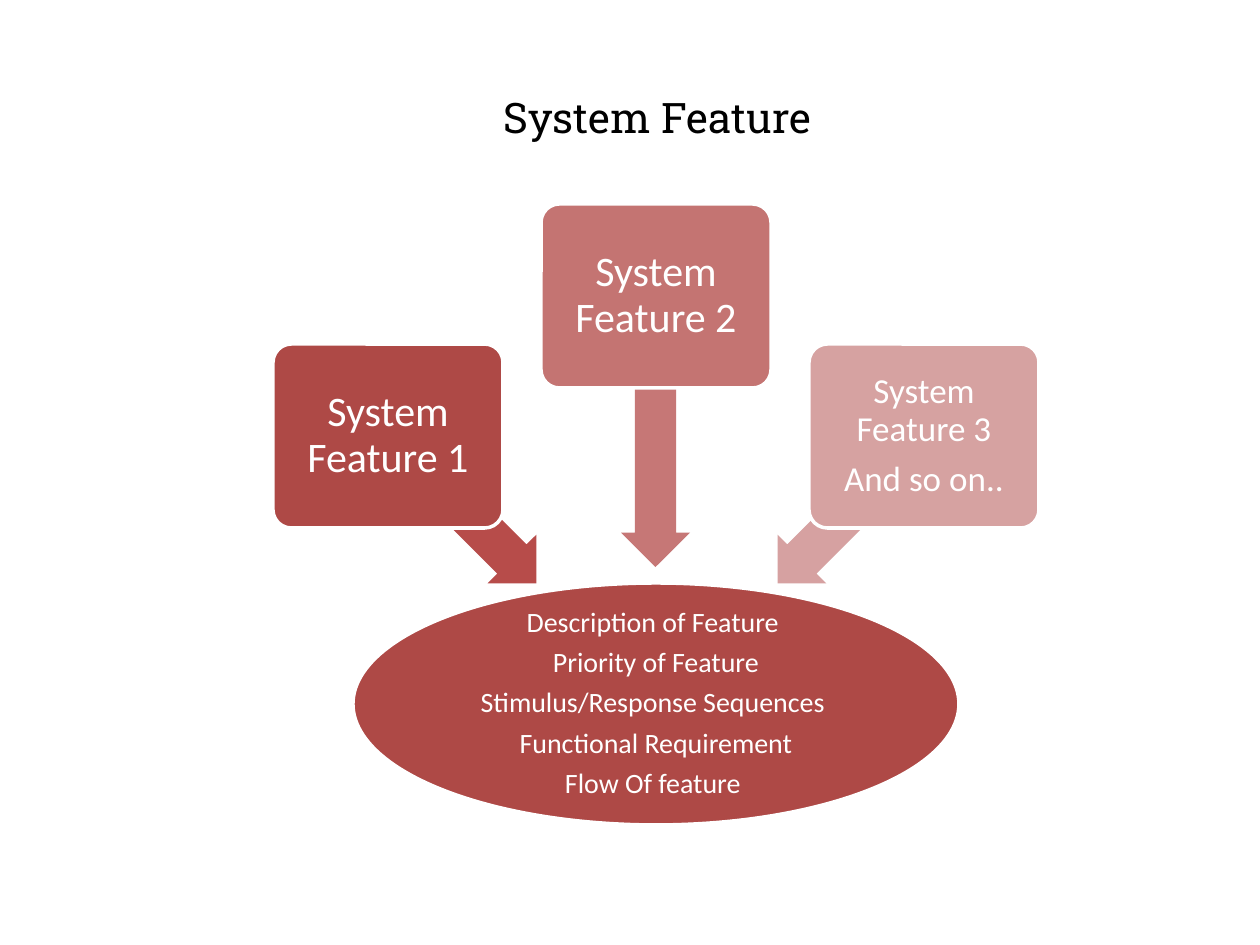
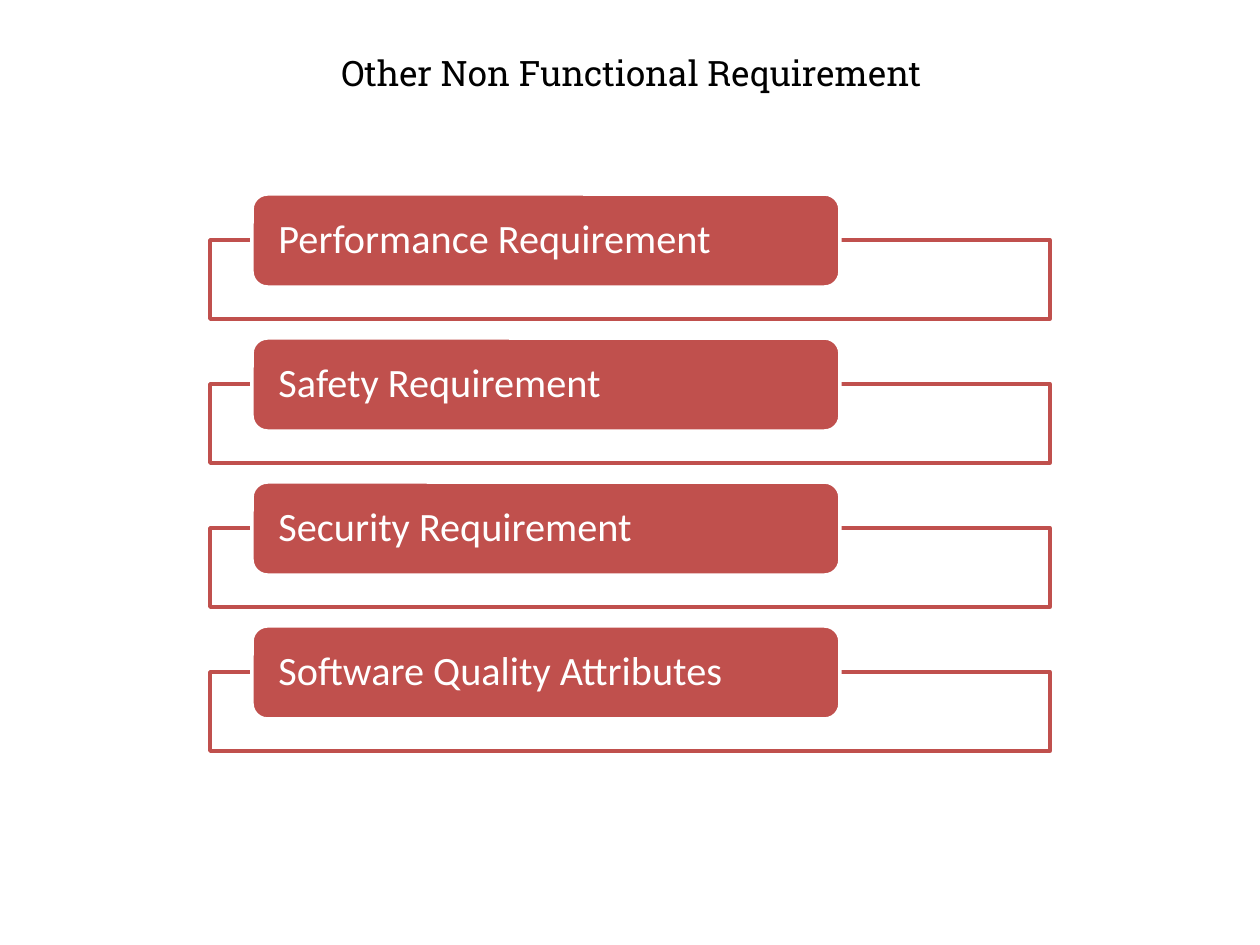
from dataclasses import dataclass

from lxml import etree
from pptx import Presentation
from pptx.dml.color import RGBColor as Rgb
from pptx.enum.shapes import MSO_SHAPE as Preset
from pptx.enum.text import MSO_ANCHOR as Anchor, PP_ALIGN as Align
from pptx.oxml.ns import qn
from pptx.util import Pt

EMU_PER_PX = 914400 / 126


@dataclass(frozen=True)
class Theme:
    white: str = "FFFFFF"
    black: str = "000000"
    red: str = "C0504D"
    deep_red: str = "AE4946"
    mid_red: str = "C47472"
    pale_red: str = "D6A2A1"
    deep_arrow: str = "B74C4A"
    mid_arrow: str = "C67776"
    pale_arrow: str = "D6A1A1"
    title_font: str = "Roboto Slab"
    body_font: str = "Calibri"
    title_size: int = 24
    long_title_size: int = 20
    feature_size: int = 24
    two_part_size: int = 20
    detail_size: int = 16
    requirement_size: int = 23
    outline: int = 2


theme = Theme()


def px(*lengths):
    """Turn pixel lengths into a list of EMU lengths."""
    return [round(length * EMU_PER_PX) for length in lengths]


def add_block(slide, preset, box, fill, outline=None, lines=(), size=0,
              font=theme.body_font, color=theme.white, align=Align.CENTER,
              anchor=Anchor.MIDDLE, insets=(0, 0, 0, 0), tight=True):
    """Add a preset shape, or a text box when preset is None, with its text."""
    if preset is None:
        block = slide.shapes.add_textbox(*px(*box))
    else:
        block = slide.shapes.add_shape(preset, *px(*box))
        block.shadow.inherit = False
        block.fill.solid()
        block.fill.fore_color.rgb = Rgb.from_string(fill)
        if outline:
            block.line.color.rgb = Rgb.from_string(outline)
            block.line.width = Pt(theme.outline)
        else:
            block.line.fill.background()
    frame = block.text_frame
    left, top, right, bottom = px(*insets)
    frame_format = {"word_wrap": True, "vertical_anchor": anchor,
                    "margin_left": left, "margin_top": top,
                    "margin_right": right, "margin_bottom": bottom}
    for name, value in frame_format.items():
        setattr(frame, name, value)
    spacing = {"line_spacing": 0.9, "space_after": Pt(0.35 * size)} if tight else {}
    for index, line in enumerate(lines):
        paragraph = frame.add_paragraph() if index else frame.paragraphs[0]
        for name, value in {"alignment": align, **spacing}.items():
            setattr(paragraph, name, value)
        run = paragraph.add_run()
        run.text = line
        for name, value in {"name": font, "size": Pt(size)}.items():
            setattr(run.font, name, value)
        run.font.color.rgb = Rgb.from_string(color)
    return block


deck = Presentation()
deck.slide_width, deck.slide_height = px(1260, 945)
blank = deck.slide_layouts[6]
title_style = {"font": theme.title_font, "color": theme.black,
               "anchor": Anchor.TOP, "tight": False}

# System features leading into their shared description
features = deck.slides.add_slide(blank)
add_block(features, Preset.OVAL, (353, 583, 606, 242), theme.deep_red, theme.white,
          ["Description of Feature ", "Priority of Feature",
           "Stimulus/Response Sequences ", "Functional Requirement",
           "Flow Of feature "],
          theme.detail_size, insets=(1, 1, 1, 1))

CARD_LEFT, CARD_PITCH, CARD_WIDTH, CARD_HEIGHT = 273, 268, 230, 184
ARROW_HEIGHT = 69
feature_cards = [
    (["System Feature 1"], theme.feature_size, 344, theme.deep_red,
     (358, 475, 209), 225, theme.deep_arrow),
    (["System Feature 2"], theme.feature_size, 204, theme.mid_red,
     (520, 397, 271), 270, theme.mid_arrow),
    (["System Feature 3", "And so on.."], theme.two_part_size, 344, theme.pale_red,
     (747, 475, 209), 315, theme.pale_arrow),
]
for column, (lines, size, top, fill, arrow_box, angle, arrow_fill) in enumerate(feature_cards):
    arrow = add_block(features, Preset.LEFT_ARROW, (*arrow_box, ARROW_HEIGHT), arrow_fill)
    arrow.adjustments[0] = 0.6
    arrow.adjustments[1] = 0.5
    arrow.rotation = angle
    card_box = (CARD_LEFT + column * CARD_PITCH, top, CARD_WIDTH, CARD_HEIGHT)
    card = add_block(features, Preset.ROUNDED_RECTANGLE, card_box, fill, theme.white,
                     lines, size, insets=(6, 6, 6, 6))
    card.adjustments[0] = 0.1

add_block(features, None, (285, 86, 745, 63), None, lines=["System Feature"],
          size=theme.title_size, insets=(13, 6, 13, 6), **title_style)

# Non functional requirements, one labelled frame each
requirements = deck.slides.add_slide(blank)
add_block(requirements, None, (323, 45, 635, 97), None,
          lines=["Other Non Functional Requirement"],
          size=theme.long_title_size, insets=(13, 6, 31, 6), **title_style)

ROW_PITCH = 144
requirement_names = ["Performance Requirement", "Safety Requirement",
                     "Security Requirement", "Software Quality Attributes"]
for row, requirement in enumerate(requirement_names):
    offset = row * ROW_PITCH
    panel = add_block(requirements, Preset.RECTANGLE, (210, 240 + offset, 840, 79),
                      theme.white, theme.red)
    panel_color = panel.fill._xPr.find(qn("a:solidFill"))[0]
    etree.SubElement(panel_color, qn("a:alpha"), val="90000")
    add_block(requirements, Preset.ROUNDED_RECTANGLE, (252, 194 + offset, 588, 93),
              theme.red, theme.white, [requirement], theme.requirement_size,
              align=Align.LEFT, insets=(22, 0, 22, 0))

deck.save("out.pptx")
